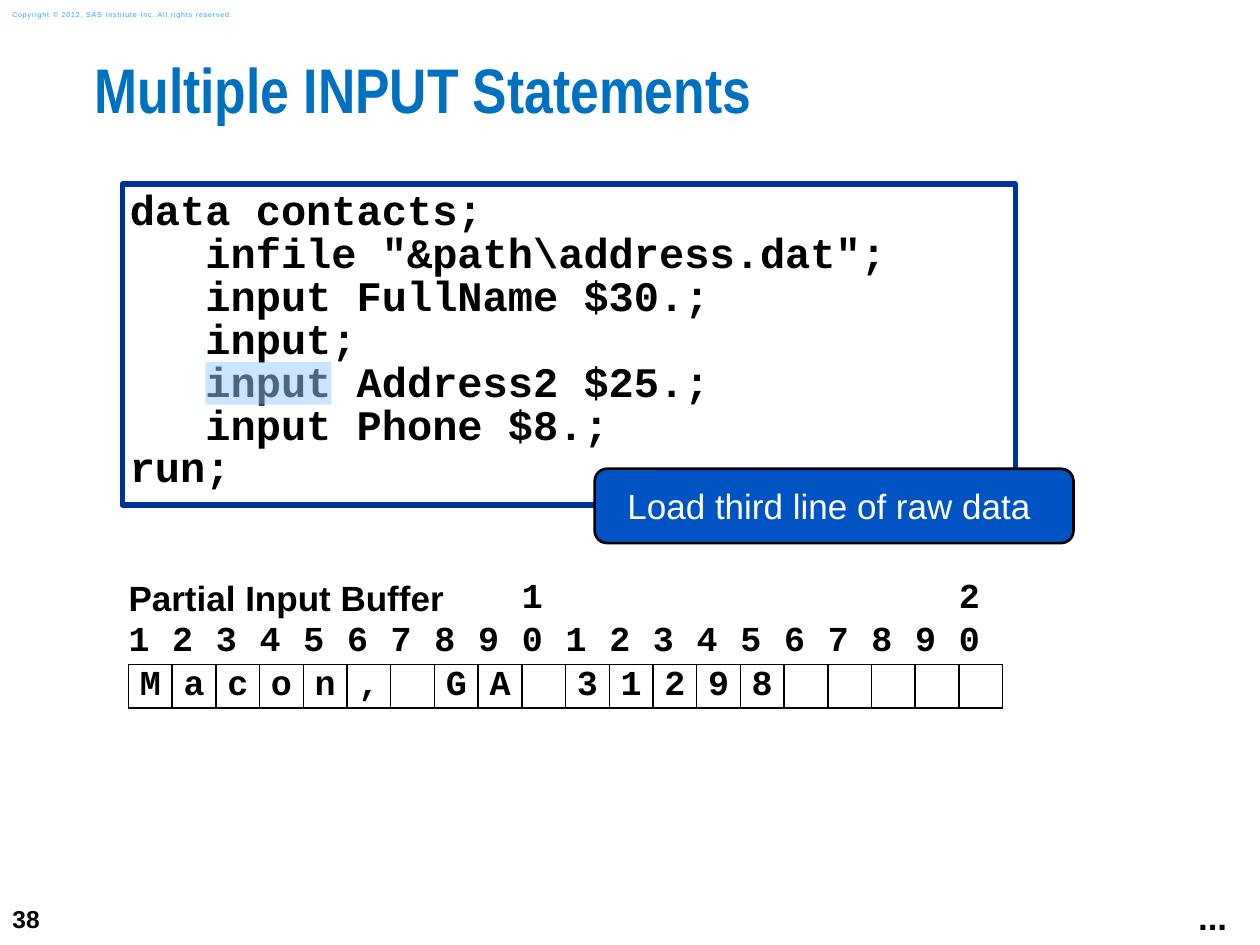
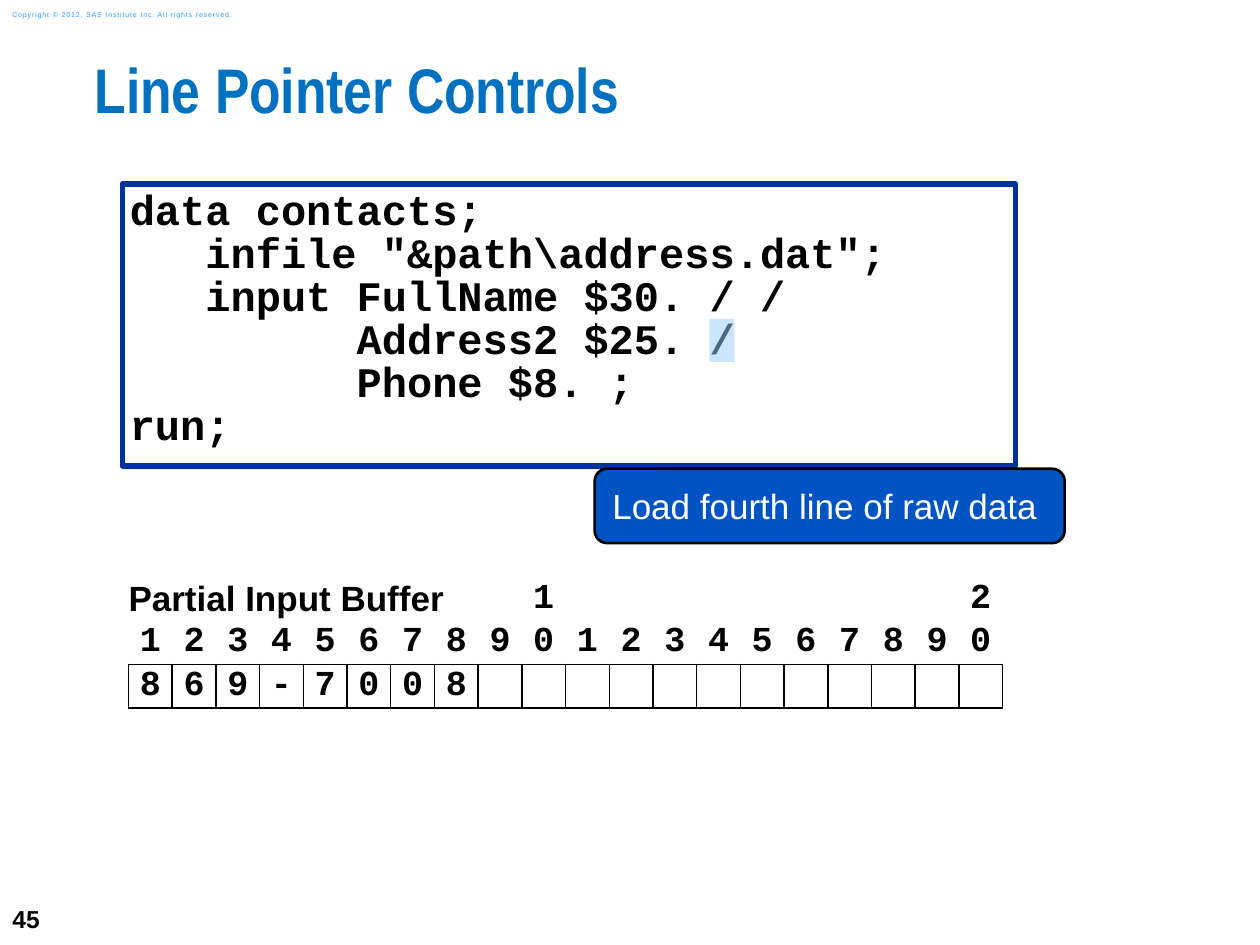
"""Build two slides that step through reading raw data line by line."""
from dataclasses import dataclass

from lxml import etree
from pptx import Presentation, util as u
from pptx.dml.color import RGBColor
from pptx.enum import shapes, text
from pptx.oxml import ns


@dataclass(frozen=True)
class Theme:
    """Colours, fonts and type sizes shared by the slides."""
    title: str = "0070C0"
    ink: str = "000000"
    paper: str = "FFFFFF"
    copyright: str = "2A9CFF"
    frame: str = "003399"
    callout: str = "0053C3"
    highlight: str = "99CCFF"
    sans: str = "Arial"
    narrow: str = "Arial Narrow"
    mono: str = "Courier New"
    title_size: int = 36
    code_size: int = 24
    body_size: int = 20
    number_size: int = 14
    copyright_size: int = 4


THEME = Theme()
WIDTH, HEIGHT = u.Inches(10), u.Inches(7.5)
CODE_LEFT, CODE_TOP = 9.7, 19.47
CHAR_WIDTH, LINE_HEIGHT = 2, 4.54
BUFFER_COLUMNS, BUFFER_ROWS = 20, 3
LEFT, CENTER = text.PP_ALIGN.LEFT, text.PP_ALIGN.CENTER
TOP, MIDDLE = text.MSO_ANCHOR.TOP, text.MSO_ANCHOR.MIDDLE
NO_TABLE_STYLE = "{2D5ABB26-0587-4C30-8999-92F81FD0307C}"


def place(left, top, width, height):
    """Turn percentages of the slide's size into lengths."""
    return [round(share * side / 100) for share, side in
            zip((left, top, width, height), (WIDTH, HEIGHT, WIDTH, HEIGHT))]


def rgb(colour):
    """Turn a hex string into a colour."""
    return RGBColor.from_string(colour)


def write(paragraph, words, size, colour=THEME.ink, face=THEME.sans, bold=True,
          align=LEFT, spacing=None):
    """Add one formatted run to a paragraph and return it."""
    paragraph.alignment = align
    if spacing:
        paragraph.line_spacing = spacing
    run = paragraph.add_run()
    run.text = words
    run.font.name, run.font.size, run.font.bold = face, u.Pt(size), bold
    run.font.color.rgb = rgb(colour)
    return run


def set_frame(frame, inset, anchor, wrap=True):
    """Set the inset in inches, anchor and wrapping of a text frame."""
    frame.margin_left = frame.margin_right = u.Inches(inset)
    frame.margin_top = frame.margin_bottom = u.Inches(inset)
    frame.vertical_anchor, frame.word_wrap = anchor, wrap
    frame.auto_size = text.MSO_AUTO_SIZE.NONE


def add_label(slide, box, words, anchor=MIDDLE, wrap=True, **style):
    """Add a one-line text box and return its run."""
    frame = slide.shapes.add_textbox(*place(*box)).text_frame
    set_frame(frame, 0.1, anchor, wrap)
    frame.margin_top = frame.margin_bottom = u.Inches(0.05)
    return write(frame.paragraphs[0], words, **style)


def add_panel(slide, kind, box, fill, outline=None, weight=0):
    """Add a flat filled shape with an optional outline."""
    panel = slide.shapes.add_shape(kind, *place(*box))
    panel.shadow.inherit = False
    panel.fill.solid()
    panel.fill.fore_color.rgb = rgb(fill)
    if outline:
        panel.line.color.rgb = rgb(outline)
        panel.line.width = u.Pt(weight)
    else:
        panel.line.fill.background()
    return panel


def start_slide(deck, heading, number):
    """Add a slide with its number, copyright line and title."""
    slide = deck.slides.add_slide(deck.slide_layouts[5])
    add_label(slide, (0, 94.4, 5.8, 5.6), number, size=THEME.number_size)
    notice = add_label(slide, (0, 0.4, 21.1, 2.27),
                       "Copyright © 2012, SAS Institute Inc. All rights reserved.",
                       size=THEME.copyright_size, colour=THEME.copyright, bold=False)
    notice.font._element.set("spc", "50")
    title = slide.shapes.title
    title.left, title.top, title.width, title.height = place(7.5, 6.67, 92.5, 9.87)
    set_frame(title.text_frame, 0, TOP)
    write(title.text_frame.paragraphs[0], heading, THEME.title_size, THEME.title,
          THEME.narrow, spacing=0.83)
    return slide


def add_code(slide, lines):
    """Add the framed program, as tall as its lines need."""
    box = (CODE_LEFT, CODE_TOP, 70.9, 5.07 + 4.13 * len(lines))
    frame = add_panel(slide, shapes.MSO_SHAPE.RECTANGLE, box, THEME.paper,
                      THEME.frame, 3).text_frame
    set_frame(frame, 0.06, TOP)
    for index, line in enumerate(lines):
        paragraph = frame.add_paragraph() if index else frame.paragraphs[0]
        write(paragraph, line, THEME.code_size, face=THEME.mono, spacing=0.85)


def add_highlight(slide, row, column, length):
    """Cover a stretch of code with a half-transparent marker."""
    box = (CODE_LEFT + 0.6 + column * CHAR_WIDTH, CODE_TOP + 0.66 + row * LINE_HEIGHT,
           length * CHAR_WIDTH, LINE_HEIGHT)
    marker = add_panel(slide, shapes.MSO_SHAPE.RECTANGLE, box, THEME.highlight)
    colour = marker._element.spPr.find(".//" + ns.qn("a:srgbClr"))
    etree.SubElement(colour, ns.qn("a:alpha"), val="50000")


def add_callout(slide, words, width):
    """Add the rounded note over the program's lower edge."""
    note = add_panel(slide, shapes.MSO_SHAPE.ROUNDED_RECTANGLE, (47.2, 49.6, width, 7.87),
                     THEME.callout, THEME.ink, 1.5)
    set_frame(note.text_frame, 0.1, MIDDLE)
    write(note.text_frame.paragraphs[0], words, THEME.body_size, THEME.paper,
          bold=False, align=CENTER)


def add_borders(cell):
    """Draw a one-point line on all four sides of a cell."""
    properties = cell._tc.get_or_add_tcPr()
    for index, side in enumerate(("a:lnL", "a:lnR", "a:lnT", "a:lnB")):
        line = etree.Element(ns.qn(side), w=str(u.Pt(1)))
        fill = etree.SubElement(line, ns.qn("a:solidFill"))
        etree.SubElement(fill, ns.qn("a:srgbClr"), val=THEME.ink)
        properties.insert(index, line)


def add_buffer(slide, content, ruler_align):
    """Add the input buffer: caption and tens, units, then one character a cell."""
    table = slide.shapes.add_table(BUFFER_ROWS, BUFFER_COLUMNS,
                                   *place(10.2, 61.07, 69.4, 13.87)).table
    table._tbl.tblPr.find(ns.qn("a:tableStyleId")).text = NO_TABLE_STYLE
    table.first_row = table.horz_banding = False
    tens = [str(n // 10) if n % 10 == 0 else "" for n in range(1, BUFFER_COLUMNS + 1)]
    units = [str(n % 10) for n in range(1, BUFFER_COLUMNS + 1)]
    rows = ((tens, ruler_align), (units, ruler_align),
            (content.ljust(BUFFER_COLUMNS), CENTER))
    for row, (characters, align) in enumerate(rows):
        for column, character in enumerate(characters):
            cell = table.cell(row, column)
            cell.margin_left = cell.margin_right = 0
            cell.margin_top = cell.margin_bottom = 0
            cell.vertical_anchor = MIDDLE
            cell.fill.background()
            if character.strip():
                write(cell.text_frame.paragraphs[0], character, THEME.body_size,
                      face=THEME.mono, align=align)
            if row == BUFFER_ROWS - 1:
                add_borders(cell)
    caption = table.cell(0, 0)
    caption.merge(table.cell(0, 8))
    write(caption.text_frame.paragraphs[0], "Partial Input Buffer", THEME.body_size)


def main():
    """Build and save both slides."""
    deck = Presentation()
    deck.slide_width, deck.slide_height = WIDTH, HEIGHT
    opening = ["data contacts;", '   infile "&path\\address.dat";']

    statements = start_slide(deck, "Multiple INPUT Statements", "38")
    add_label(statements, (94.1, 94.13, 4.3, 5.87), "...", TOP, wrap=False,
              size=THEME.body_size, align=CENTER)
    add_code(statements, opening + ["   input FullName $30.;", "   input;",
                                    "   input Address2 $25.;",
                                    "   input Phone $8.;", "run;"])
    add_callout(statements, "Load third line of raw data ", 38)
    add_buffer(statements, "Macon, GA 31298", LEFT)
    add_highlight(statements, row=4, column=3, length=5)

    pointers = start_slide(deck, "Line Pointer Controls", "45")
    add_code(pointers, opening + ["   input FullName $30. / /",
                                  "         Address2 $25. /",
                                  "         Phone $8. ;", "run;"])
    add_callout(pointers, "Load fourth line of raw data ", 37.3)
    add_buffer(pointers, "869-7008", CENTER)
    add_highlight(pointers, row=3, column=23, length=1)

    deck.save("out.pptx")


if __name__ == "__main__":
    main()
